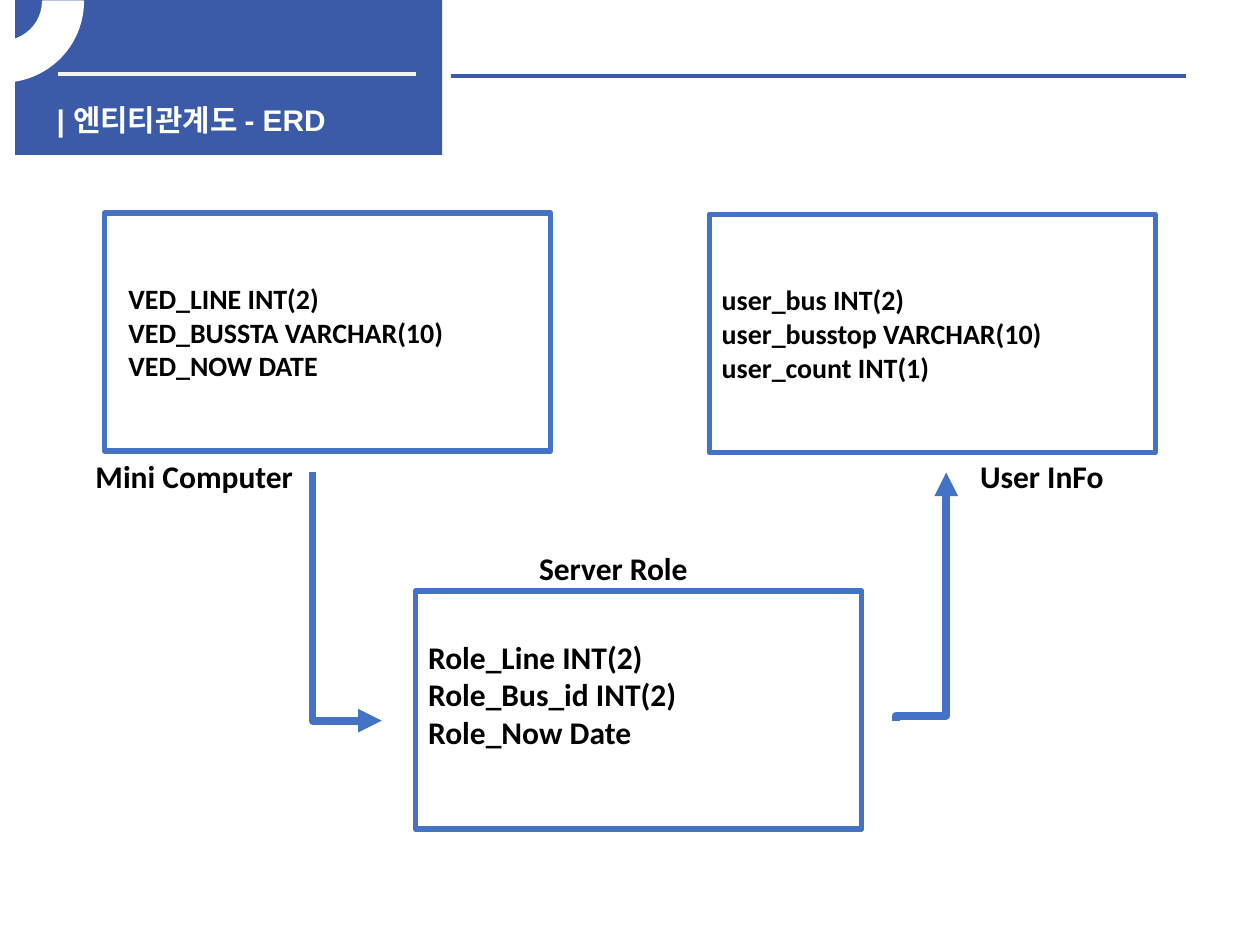
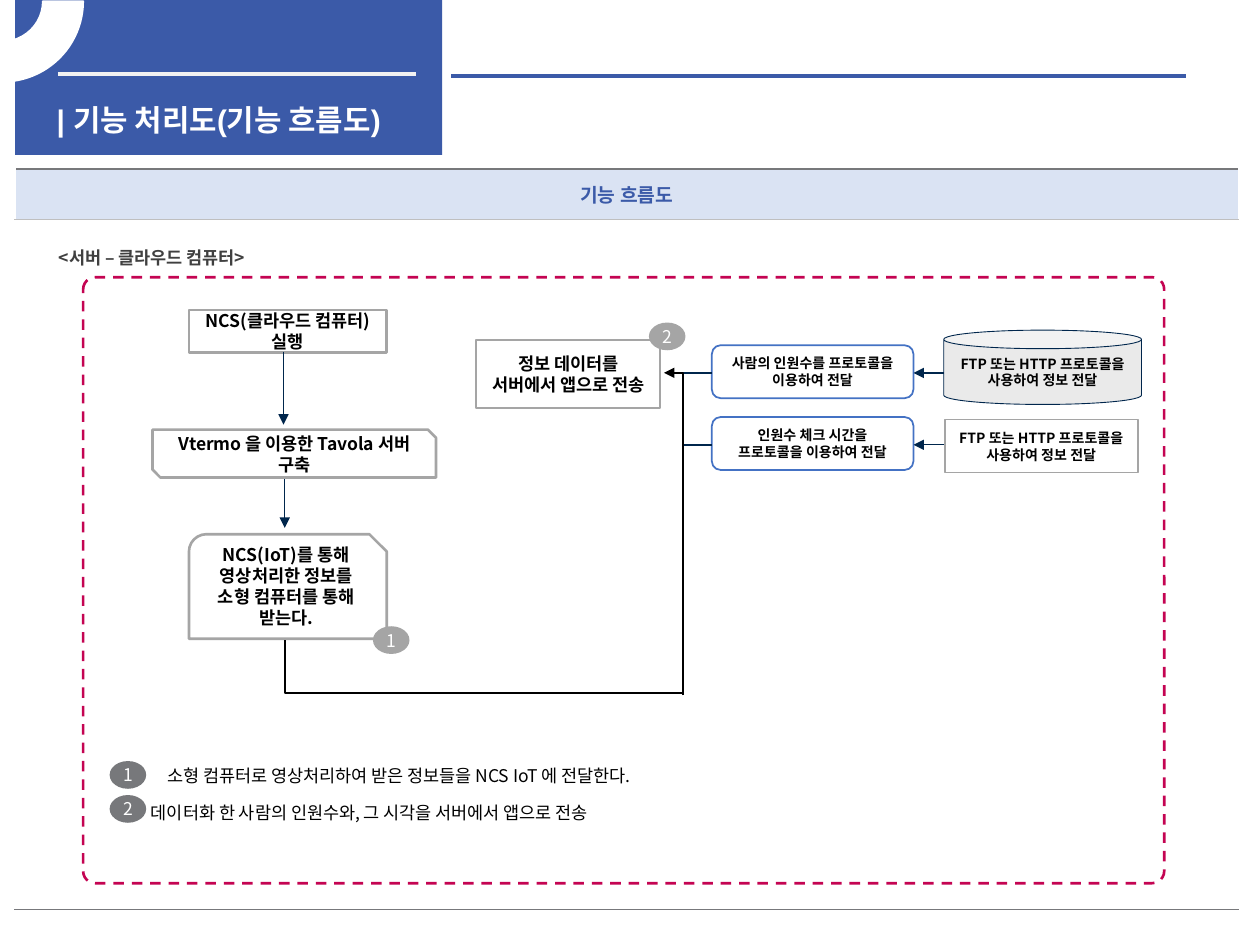
from lxml.etree import SubElement
from pptx import Presentation
from pptx.dml.color import RGBColor
from pptx.enum.dml import MSO_LINE
from pptx.enum.shapes import MSO_CONNECTOR, MSO_SHAPE
from pptx.enum.text import MSO_ANCHOR, PP_ALIGN
from pptx.oxml.ns import qn
from pptx.util import Inches, Pt

COLUMNS, ROWS = 100, 75
CELL = Inches(0.1)
KOREAN = "Noto Sans CJK KR"
BRAND, BLUE, NAVY = "3B5AA8", "4472C4", "00264C"
WHITE, BLACK, GRAY, DARK_GRAY, PALE_GRAY = "FFFFFF", "000000", "A5A5A5", "77787B", "BFBFBF"
NARROW = (0.4, 0.4, 0.4, 0.4)
REGULAR = (1, 0.5, 1, 0.5)
ENTITY_SIZE = (35.4, 18.9)
ENTITIES = [
    ((8.3, 16.9), 16, (1.9, 0.5, 1, 0.5),
     ["VED_LINE INT(2)", "VED_BUSSTA VARCHAR(10)", "VED_NOW DATE"]),
    ((33, 46.9), 18, (1, 0.5, 1, 3),
     ["Role_Line INT(2)", "Role_Bus_id INT(2)", "Role_Now Date"]),
    ((56.3, 17), 16, REGULAR,
     ["user_bus INT(2)", "user_busstop VARCHAR(10)", "user_count INT(1)"]),
]
ENTITY_NAMES = [("Mini Computer", 6.6, 35.8), ("User InFo", 76.8, 35.8), ("Server Role", 41.8, 43.1)]


def cells(*values):
    return [round(value * CELL) for value in values]


def color(value):
    return RGBColor.from_string(value)


def style_line(line, tint, width):
    line.color.rgb = color(tint)
    line.width = Pt(width)


def write(frame, lines, size, tint=BLACK, font=KOREAN, bold=True, align=PP_ALIGN.LEFT,
          margins=REGULAR, anchor=MSO_ANCHOR.MIDDLE, wrap=True, spacing=None):
    frame.word_wrap = wrap
    frame.vertical_anchor = anchor
    frame.margin_left, frame.margin_top, frame.margin_right, frame.margin_bottom = cells(*margins)
    for index, line in enumerate(lines):
        para = frame.add_paragraph() if index else frame.paragraphs[0]
        para.text = line
        para.alignment = align
        if spacing:
            para.line_spacing = spacing
            para.space_before = Pt(size * 0.2)
        para.font.size = Pt(size)
        para.font.bold = bold
        para.font.color.rgb = color(tint)
        para.font.name = font
        SubElement(para.font._rPr, qn("a:ea")).set("typeface", KOREAN)


def add_box(page, kind, area, fill=WHITE, outline=None, width=1):
    box = page.shapes.add_shape(kind, *cells(*area))
    box.shadow.inherit = False
    if fill:
        box.fill.solid()
        box.fill.fore_color.rgb = color(fill)
    else:
        box.fill.background()
    if outline:
        style_line(box.line, outline, width)
    else:
        box.line.fill.background()
    return box


def add_label(page, area, text, size, **style):
    label = page.shapes.add_textbox(*cells(*area))
    write(label.text_frame, [text], size, anchor=MSO_ANCHOR.TOP, **style)


def add_step(page, kind, area, lines, size=10, outline=GRAY, width=1, fill=WHITE,
             font=KOREAN, margins=NARROW):
    step = add_box(page, kind, area, fill, outline, width)
    write(step.text_frame, lines, size, font=font, align=PP_ALIGN.CENTER, margins=margins)


def add_badge(page, left, top, number, fill):
    badge = add_box(page, MSO_SHAPE.OVAL, (left, top, 2.9, 2.2), fill)
    write(badge.text_frame, [number], 10, WHITE, bold=False, align=PP_ALIGN.CENTER,
          margins=(0.6, 0.6, 0.6, 0.6), wrap=False)


def add_line(page, start, end, tint, width, arrow=None, kind=MSO_CONNECTOR.STRAIGHT):
    connector = page.shapes.add_connector(kind, *cells(*start, *end))
    style_line(connector.line, tint, width)
    if arrow:
        SubElement(connector.line._get_or_add_ln(), qn(f"a:{arrow}")).set("type", "triangle")
    SubElement(connector._element.spPr, qn("a:effectLst"))
    return connector


def add_elbow(page, start, end, tint, width, bend, turn=0, arrow=None):
    middle = [(a + b) / 2 for a, b in zip(start, end)]
    across, down = start[0] - middle[0], start[1] - middle[1]
    across, down = {0: (across, down), 90: (down, -across), 270: (-down, across)}[turn]
    connector = add_line(page, (middle[0] + across, middle[1] + down),
                         (middle[0] - across, middle[1] - down), tint, width, arrow,
                         MSO_CONNECTOR.ELBOW)
    properties = connector._element.spPr
    if turn:
        properties.find(qn("a:xfrm")).set("rot", str(turn * 60000))
    guide = SubElement(properties.find(qn("a:prstGeom")).find(qn("a:avLst")), qn("a:gd"))
    guide.set("name", "adj1")
    guide.set("fmla", f"val {round(bend * 100000)}")


def add_page(deck, title):
    page = deck.slides.add_slide(deck.slide_layouts[6])
    add_box(page, MSO_SHAPE.RECTANGLE, (1.2, 0, 33.9, 12.3), BRAND)
    add_line(page, (4.6, 5.9), (33, 5.9), "F2F2F2", 2.25)
    add_line(page, (35.8, 6), (94.1, 6), BRAND, 2.25)
    add_label(page, (3.5, 7.6, 31.5, 3.2), title, 17, tint=WHITE, font="Arial", wrap=False)
    ring = add_box(page, MSO_SHAPE.BLOCK_ARC, (-6.3, -6.3, 12.9, 12.8), WHITE, WHITE)
    for index, value in enumerate((0, 54.41, 0.25)):
        ring.adjustments[index] = value
    return page


def set_borders(cell, top, bottom):
    properties = cell._tc.get_or_add_tcPr()
    sides = (("lnL", WHITE), ("lnR", WHITE), ("lnT", top), ("lnB", bottom))
    for index, (side, tint) in enumerate(sides):
        line = properties.makeelement(qn(f"a:{side}"), {"w": str(Pt(1))})
        fill = SubElement(line, qn("a:solidFill"))
        SubElement(fill, qn("a:srgbClr")).set("val", tint)
        properties.insert(index, line)


def add_section_table(page, heading):
    heights = cells(4, 54.8)
    table = page.shapes.add_table(2, 1, *cells(1.2, 13.4, 97.1, 58.8)).table
    table.first_row = table.horz_banding = False
    for row, height in zip(table.rows, heights):
        row.height = height
    header, body = table.cell(0, 0), table.cell(1, 0)
    header.fill.solid()
    header.fill.fore_color.rgb = color("DAE3F3")
    header.vertical_anchor = MSO_ANCHOR.MIDDLE
    write(header.text_frame, [heading], 11, BRAND, "Calibri", align=PP_ALIGN.CENTER)
    body.fill.background()
    set_borders(header, DARK_GRAY, PALE_GRAY)
    set_borders(body, PALE_GRAY, DARK_GRAY)


def build_entity_page(deck):
    page = add_page(deck, "| 엔티티관계도 - ERD")
    for corner, size, margins, fields in ENTITIES:
        entity = add_box(page, MSO_SHAPE.RECTANGLE, corner + ENTITY_SIZE, WHITE, BLUE, 3)
        write(entity.text_frame, fields, size, font="Calibri", margins=margins)
    for name, left, top in ENTITY_NAMES:
        add_label(page, (left, top, 20.6, 4), name, 18, font="Calibri")
    add_elbow(page, (24.8, 37.5), (30.3, 57.2), BLUE, 4.5, 1, 270, "tailEnd")
    add_elbow(page, (71.1, 57.2), (75.1, 37.5), BLUE, 4.5, 0.02, 90, "tailEnd")


def build_flow_page(deck):
    page = add_page(deck, "| 기능 처리도(기능 흐름도)")
    add_section_table(page, "기능 흐름도")
    add_label(page, (3.7, 18.8, 54.3, 2.8), "<서버 – 클라우드 컴퓨터>", 10, tint="404040", spacing=1.2)
    border = add_box(page, MSO_SHAPE.ROUNDED_RECTANGLE, (6.6, 22, 85.8, 48.1), None, "C40452", 1.5)
    border.adjustments[0] = 0.02
    border.line.dash_style = MSO_LINE.DASH

    add_step(page, MSO_SHAPE.RECTANGLE, (15, 24.6, 15.7, 3.4), ["NCS(클라우드 컴퓨터) 실행"], width=1.5)
    add_step(page, MSO_SHAPE.SNIP_2_DIAG_RECTANGLE, (12.1, 34.1, 22.5, 3.8),
             ["Vtermo 을 이용한 Tavola 서버 구축"], width=1.5, margins=REGULAR)
    add_step(page, MSO_SHAPE.SNIP_ROUND_RECTANGLE, (15, 42.4, 15.7, 8.3),
             ["NCS(IoT)를 통해 영상처리한 정보를 소형 컴퓨터를 통해 받는다."], width=1.5,
             margins=(1, 0.5, 1, 1))
    add_step(page, MSO_SHAPE.RECTANGLE, (37.8, 27, 14.6, 5.4), ["정보 데이터를", "서버에서 앱으로 전송"])
    for top, text in ((27.4, "사람의 인원수를 프로토콜을 이용하여 전달"),
                      (33.1, "인원수 체크 시간을 프로토콜을 이용하여 전달")):
        add_step(page, MSO_SHAPE.ROUNDED_RECTANGLE, (56.5, top, 16, 4.2), [text], 8, BLUE,
                 font="Calibri", margins=REGULAR)
    transfer = ["FTP 또는 HTTP 프로토콜을 사용하여 정보 전달"]
    add_step(page, MSO_SHAPE.CAN, (74.9, 26.2, 15.7, 5.9), transfer, 8, NAVY, 0.5, "EAEAEA")
    add_step(page, MSO_SHAPE.RECTANGLE, (75, 33.3, 15.3, 4.2), transfer, 8)

    add_line(page, (22.5, 27.9), (22.5, 33.7), NAVY, 0.75, "tailEnd")
    add_line(page, (22.6, 38), (22.6, 41.9), NAVY, 0.75, "tailEnd")
    for row in (29.6, 35.3):
        add_line(page, (54.2, row), (56.5, row), NAVY, 1)
        add_line(page, (72.5, row), (74.9, row), NAVY, 0.75, "headEnd")
    add_elbow(page, (22.6, 50.8), (54.2, 55), BLACK, 1, 0)
    add_elbow(page, (54.2, 55.2), (52.7, 29.6), BLACK, 1, 1, 270, "tailEnd")

    for left, top, number, fill in ((51.5, 25.6, "2", GRAY), (29.6, 49.7, "1", GRAY),
                                    (8.7, 60.4, "1", DARK_GRAY), (8.7, 63.1, "2", DARK_GRAY)):
        add_badge(page, left, top, number, fill)
    for left, top, text in ((12.3, 59.9, "소형 컴퓨터로 영상처리하여 받은 정보들을 NCS IoT 에 전달한다."),
                            (11, 62.8, "데이터화 한 사람의 인원수와, 그 시각을 서버에서 앱으로 전송")):
        add_label(page, (left, top, 43, 2.8), text, 10, bold=False, wrap=False, spacing=1.2)


def main():
    deck = Presentation()
    deck.slide_width, deck.slide_height = cells(COLUMNS, ROWS)
    build_entity_page(deck)
    build_flow_page(deck)
    deck.save("out.pptx")


if __name__ == "__main__":
    main()
